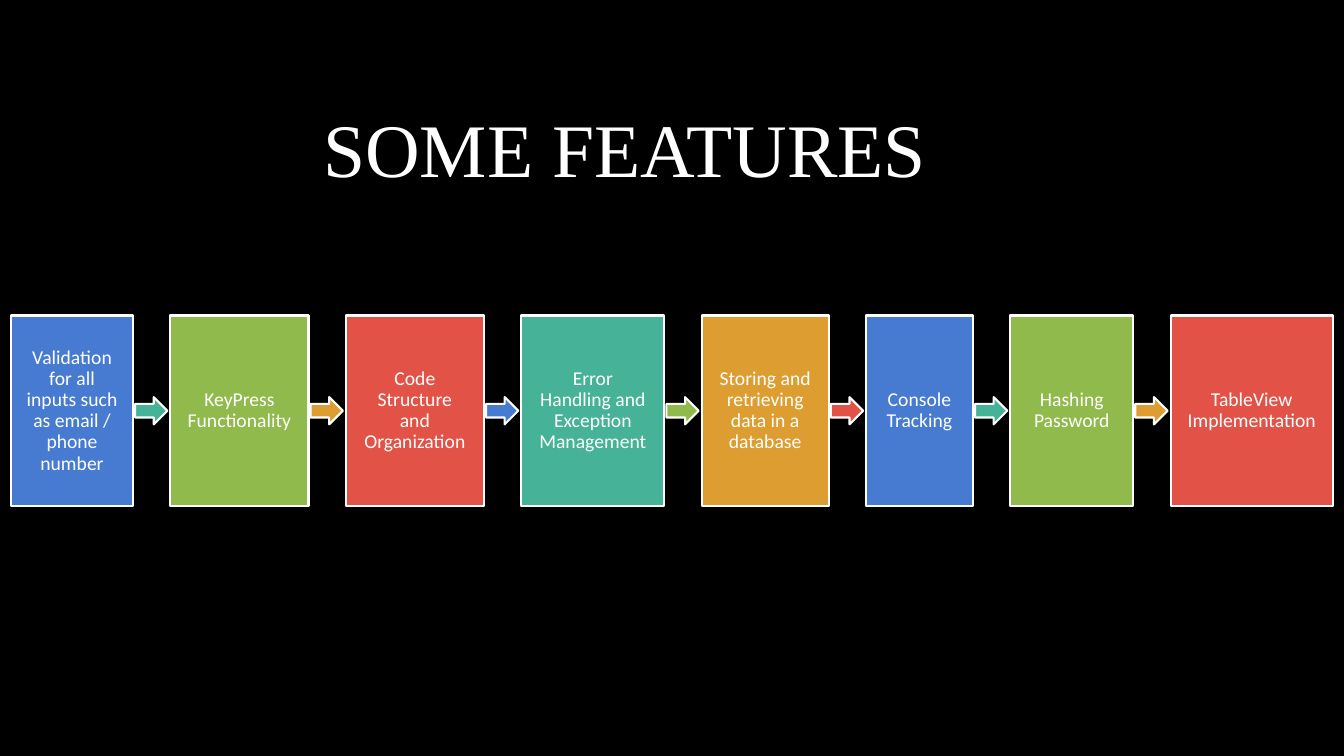
"""Build the slide that shows the app features as a chain of boxes."""
from dataclasses import dataclass

from pptx import Presentation
from pptx.dml.color import RGBColor
from pptx.enum.shapes import MSO_SHAPE
from pptx.enum.text import MSO_ANCHOR, PP_ALIGN
from pptx.shapes.autoshape import Shape
from pptx.slide import Slide
from pptx.text.text import TextFrame
from pptx.util import Inches, Pt

COLORS: dict[str, str] = {
    "blue": "477BD1", "green": "90BA4C", "red": "E25247",
    "teal": "46B298", "orange": "DD9D31",
    "white": "FFFFFF", "black": "000000",
}
CYCLE = ["blue", "green", "red", "teal", "orange"]
LEFT, TOP, HEIGHT = 0.11, 3.13, 1.89
GAP, SIDE, INSET = 0.37, 0.15, 0.17
ARROW_WIDTH, ARROW_HEIGHT, ARROW_GAP = 0.32, 0.27, 0.02


@dataclass(frozen=True)
class Feature:
    text: str
    width: float


FEATURES = [
    Feature("Validation for all inputs such as email / phone number", 1.21),
    Feature("KeyPress Functionality", 1.37),
    Feature("Code Structure and Organization", 1.37),
    Feature("Error Handling and Exception Management", 1.42),
    Feature("Storing and retrieving data in a database", 1.26),
    Feature("Console Tracking", 1.06),
    Feature("Hashing Password", 1.22),
    Feature("TableView Implementation", 1.61),
]


def color(name: str) -> RGBColor:
    return RGBColor.from_string(COLORS[name])


def write(frame: TextFrame, text: str, font: str, size: int, spacing: float, after: int) -> None:
    frame.word_wrap = True
    frame.vertical_anchor = MSO_ANCHOR.MIDDLE
    para = frame.paragraphs[0]
    para.alignment = PP_ALIGN.CENTER
    para.line_spacing = spacing
    para.space_after = Pt(after)
    run = para.add_run()
    run.text = text
    run.font.name = font
    run.font.size = Pt(size)
    run.font.color.rgb = color("white")


def add_block(slide: Slide, kind: MSO_SHAPE, left: float, top: float,
              width: float, height: float, fill: str) -> Shape:
    block = slide.shapes.add_shape(kind, Inches(left), Inches(top), Inches(width), Inches(height))
    block.shadow.inherit = False
    block.fill.solid()
    block.fill.fore_color.rgb = color(fill)
    block.line.color.rgb = color("white")
    block.line.width = Pt(1.5)
    return block


def add_chain(slide: Slide) -> None:
    left = LEFT
    for index, feature in enumerate(FEATURES):
        box = add_block(slide, MSO_SHAPE.RECTANGLE, left, TOP, feature.width, HEIGHT,
                        CYCLE[index % len(CYCLE)])
        frame = box.text_frame
        frame.margin_left = frame.margin_right = Inches(SIDE)
        frame.margin_top = frame.margin_bottom = Inches(INSET)
        write(frame, feature.text, "Calibri", 14, 0.9, 0)
        right = left + feature.width
        if index < len(FEATURES) - 1:
            add_block(slide, MSO_SHAPE.RIGHT_ARROW, right + ARROW_GAP,
                      TOP + (HEIGHT - ARROW_HEIGHT) / 2, ARROW_WIDTH, ARROW_HEIGHT,
                      CYCLE[(index + 3) % len(CYCLE)])
        left = right + GAP


def main() -> None:
    deck = Presentation()
    deck.slide_width, deck.slide_height = Inches(13.33), Inches(7.5)
    slide = deck.slides.add_slide(deck.slide_layouts[6])
    slide.background.fill.solid()
    slide.background.fill.fore_color.rgb = color("black")
    title = slide.shapes.add_textbox(Inches(0.75), Inches(0.67), Inches(11.08), Inches(1.59))
    write(title.text_frame, "SOME FEATURES ", "Times New Roman", 54, 1.0, 6)
    add_chain(slide)
    deck.save("out.pptx")


if __name__ == "__main__":
    main()
